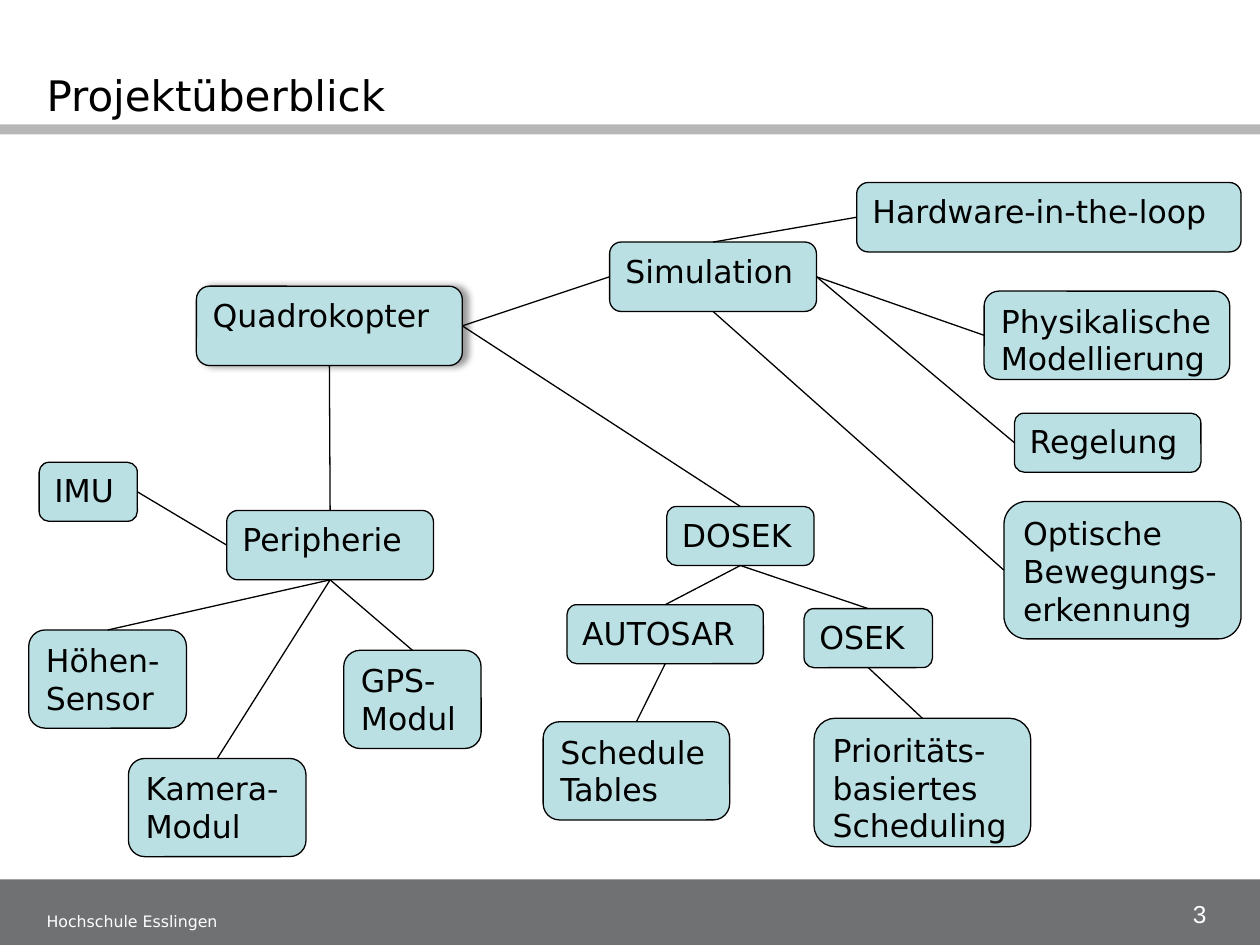
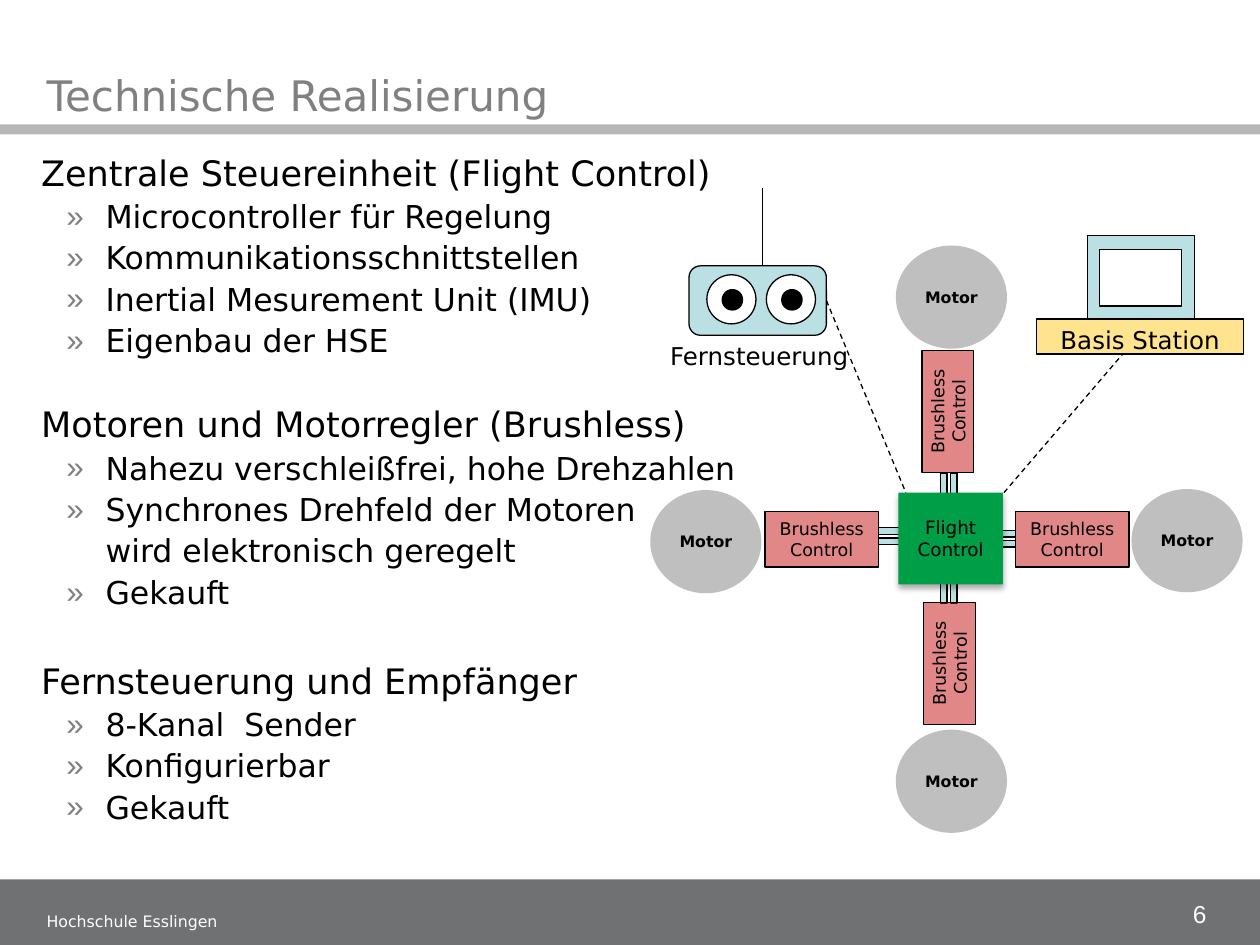
from lxml.etree import SubElement
from pptx import Presentation
from pptx.dml.color import RGBColor
from pptx.enum.dml import MSO_LINE
from pptx.enum.shapes import MSO_CONNECTOR, MSO_SHAPE
from pptx.enum.text import MSO_ANCHOR, PP_ALIGN
from pptx.oxml.ns import qn
from pptx.shapes.autoshape import Shape
from pptx.util import Cm, Pt

HUE = {"black": "000000", "white": "FFFFFF", "slate": "707172", "gray": "808080",
       "silver": "BFBFBF", "aqua": "BBE0E3", "green": "009E47", "red": "C00000",
       "sand": "FFE48F"}
FONT = "DejaVu Sans"
RECT, ROUND = MSO_SHAPE.RECTANGLE, MSO_SHAPE.ROUNDED_RECTANGLE
OVAL, EQUAL = MSO_SHAPE.OVAL, MSO_SHAPE.MATH_EQUAL
TOP, LEFT, BOTTOM, RIGHT = range(4)


def box(page, kind, area, fill=None, text="", size=18, ink="black", font=FONT, bold=False,
        mid=False, anchor=MSO_ANCHOR.TOP, wrap=True, edge=True, alpha=100, turn=0, glow=None):
    """Add a shape, or a text box if kind is None; area is left, top, width, height in cm."""
    area = [Cm(n) for n in area]
    if kind is None:
        item = page.shapes.add_textbox(*area)
    else:
        item = page.shapes.add_shape(kind, *area)
        item.shadow.inherit = False
        item.rotation = turn
        item.fill.solid()
        item.fill.fore_color.rgb = RGBColor.from_string(HUE[fill])
        if alpha < 100:
            tint = item.fill._xPr.find(qn("a:solidFill"))[0]
            SubElement(tint, qn("a:alpha"), val=str(alpha * 1000))
        if edge:
            item.line.color.rgb = RGBColor.from_string(HUE["black"])
            item.line.width = Pt(0.75)
        else:
            item.line.fill.background()
    if glow:
        blur, dist, angle, dark = glow
        drop = SubElement(item._element.spPr.find(qn("a:effectLst")), qn("a:outerShdw"),
                          blurRad=str(Pt(blur)), dist=str(Pt(dist)),
                          dir=str(angle * 60000), rotWithShape="0")
        shade = SubElement(drop, qn("a:srgbClr"), val=HUE["black"])
        SubElement(shade, qn("a:alpha"), val=str(dark * 1000))
    if text:
        frame = item.text_frame
        frame.word_wrap = wrap
        frame.vertical_anchor = anchor
        frame.text = text
        para = frame.paragraphs[0]
        para.alignment = PP_ALIGN.CENTER if mid else PP_ALIGN.LEFT
        style = para.runs[0].font
        style.name, style.size, style.bold = font, Pt(size), bold
        style.color.rgb = RGBColor.from_string(HUE[ink])
    return item


def line(page, start, end, dash=False):
    """Join two ends, each either a point in cm or a shape with a side."""
    spots = [(0, 0) if isinstance(spot[0], Shape) else spot for spot in (start, end)]
    wire = page.shapes.add_connector(MSO_CONNECTOR.STRAIGHT,
                                     *[Cm(n) for spot in spots for n in spot])
    if isinstance(start[0], Shape):
        wire.begin_connect(*start)
    if isinstance(end[0], Shape):
        wire.end_connect(*end)
    wire.line.color.rgb = RGBColor.from_string(HUE["black"])
    wire.line.width = Pt(0.75)
    if dash:
        wire.line.dash_style = MSO_LINE.DASH
    SubElement(wire._element.spPr, qn("a:effectLst"))


deck = Presentation()
deck.slide_width, deck.slide_height = Cm(25.4), Cm(19.05)

# Shared frame: bands, number, footer, title
pages = []
for title, ink, num in [("Projektüberblick", "black", "3"),
                        ("Technische Realisierung", "gray", "6")]:
    page = deck.slides.add_slide(deck.slide_layouts[6])
    box(page, RECT, (0, 17.73, 25.4, 1.32), "slate", edge=False)
    box(page, RECT, (0, 2.51, 25.4, 0.2), "slate", edge=False, alpha=50)
    box(page, None, (23.7, 17.93, 0.97, 0.91), text=num, size=14, ink="white", font="Arial",
        mid=True, anchor=MSO_ANCHOR.BOTTOM, wrap=False)
    box(page, None, (0.69, 18.25, 22.6, 0.6), text="Hochschule Esslingen", size=9, ink="white")
    box(page, None, (0.69, 0.13, 18, 2.41), text=title, size=24, ink=ink,
        anchor=MSO_ANCHOR.BOTTOM)
    pages.append(page)
tree, tech = pages

# Overview: topics
topics = {
    "Quadrokopter": (3.96, 5.77, 5.36, 1.6),
    "DOSEK": (13.44, 10.21, 2.97, 1.19),
    "AUTOSAR": (11.43, 12.19, 3.96, 1.19),
    "OSEK": (16.21, 12.27, 2.59, 1.19),
    "Schedule Tables": (10.95, 14.55, 3.76, 1.98),
    "Prioritäts-basiertes Scheduling": (16.41, 14.48, 4.37, 2.59),
    "Kamera-Modul": (2.59, 15.29, 3.58, 1.98),
    "Peripherie": (4.57, 10.29, 4.17, 1.4),
    "IMU": (0.79, 9.32, 1.98, 1.19),
    "Höhen-Sensor": (0.58, 12.7, 3.18, 1.98),
    "GPS-Modul": (6.93, 13.11, 2.77, 1.98),
    "Simulation": (12.29, 4.88, 4.17, 1.4),
    "Hardware-in-the-loop": (17.27, 3.68, 7.75, 1.4),
    "Physikalische Modellierung": (19.84, 5.87, 4.95, 1.78),
    "Regelung": (20.45, 8.33, 3.76, 1.19),
    "Optische Bewegungs-erkennung": (20.24, 10.11, 4.78, 2.77),
}
nodes = {}
for name, area in topics.items():
    glow = (4, 3, 0, 40) if name == "Quadrokopter" else None
    nodes[name] = box(tree, ROUND, area, "aqua", name, glow=glow)

# Overview: links
for head, side, tail, port in [
    ("Quadrokopter", RIGHT, "Simulation", LEFT),
    ("Quadrokopter", RIGHT, "DOSEK", TOP),
    ("Quadrokopter", BOTTOM, "Peripherie", TOP),
    ("DOSEK", BOTTOM, "AUTOSAR", TOP),
    ("DOSEK", BOTTOM, "OSEK", TOP),
    ("AUTOSAR", BOTTOM, "Schedule Tables", TOP),
    ("OSEK", BOTTOM, "Prioritäts-basiertes Scheduling", TOP),
    ("Peripherie", LEFT, "IMU", RIGHT),
    ("Peripherie", BOTTOM, "Höhen-Sensor", TOP),
    ("Peripherie", BOTTOM, "Kamera-Modul", TOP),
    ("Peripherie", BOTTOM, "GPS-Modul", TOP),
    ("Simulation", TOP, "Hardware-in-the-loop", LEFT),
    ("Simulation", RIGHT, "Physikalische Modellierung", LEFT),
    ("Simulation", RIGHT, "Regelung", LEFT),
    ("Simulation", BOTTOM, "Optische Bewegungs-erkennung", LEFT),
]:
    line(tree, (nodes[head], side), (nodes[tail], port))

# Realisation: outline, each part with the gap above its heading
parts = [
    (0, "Zentrale Steuereinheit (Flight Control)",
     ["Microcontroller für Regelung", "Kommunikationsschnittstellen",
      "Inertial Mesurement Unit (IMU)", "Eigenbau der HSE"]),
    (27.7, "Motoren und Motorregler (Brushless)",
     ["Nahezu verschleißfrei, hohe Drehzahlen", "Synchrones Drehfeld der Motoren",
      "wird elektronisch geregelt", "Gekauft"]),
    (30.3, "Fernsteuerung und Empfänger",
     ["8-Kanal  Sender", "Konfigurierbar", "Gekauft"]),
]
frame = tech.shapes.add_textbox(Cm(0.58), Cm(3.02), Cm(23.42), Cm(14.6)).text_frame
frame.word_wrap = True
for gap, head, items in parts:
    for text in [head] + items:
        top = text == head
        para = frame.paragraphs[0] if gap == 0 and top else frame.add_paragraph()
        para.text = text
        para.line_spacing = 0.9
        para.space_before = Pt(gap if top else 4.2)
        style = para.runs[0].font
        style.name, style.size = FONT, Pt(20 if top else 18)
        style.color.rgb = RGBColor.from_string(HUE["black"])
        if top:
            continue
        para.level = 1
        props = para._p.get_or_add_pPr()
        more = text.startswith("wird")
        props.set("marL", str(Cm(1.3)))
        props.set("indent", str(0 if more else Cm(-0.79)))
        if more:
            SubElement(props, qn("a:buNone"))
        else:
            SubElement(SubElement(props, qn("a:buClr")), qn("a:srgbClr"), val=HUE["gray"])
            SubElement(props, qn("a:buFont"), typeface="Arial")
            SubElement(props, qn("a:buChar"), char="»")

# Realisation: motors
for x, y in [(13.11, 9.88), (18.06, 14.71), (22.81, 9.86), (18.06, 4.95)]:
    disc = box(tech, OVAL, (x, y, 2.24, 2.08), "silver", "Motor", 9, bold=True, mid=True,
               anchor=MSO_ANCHOR.MIDDLE, edge=False)
    disc.text_frame.margin_left = disc.text_frame.margin_right = 0

# Realisation: plugs, flight control and motor controls
for x, y, turn in [(17.58, 10.52, 180), (18.64, 11.51, 270), (19.63, 10.57, 0),
                   (18.64, 9.6, 270)]:
    box(tech, EQUAL, (x, y, 0.97, 0.58), "aqua", turn=turn)
box(tech, RECT, (18.11, 9.93, 2.11, 1.85), "green", "Flight Control", 10.5, mid=True,
    anchor=MSO_ANCHOR.MIDDLE, edge=False, glow=(3.5, 2.2, 90, 32))
for x, y, wide, high, turn in [(17.88, 7.77, 2.46, 1.04, 270), (20.47, 10.31, 2.29, 1.12, 0),
                               (17.91, 12.85, 2.46, 1.04, 270), (15.42, 10.31, 2.29, 1.12, 0)]:
    box(tech, RECT, (x, y, wide, high), "red", "Brushless Control", 10, mid=True,
        anchor=MSO_ANCHOR.MIDDLE, alpha=47, turn=turn)

# Realisation: base station
box(tech, RECT, (21.92, 4.75, 2.16, 1.68), "aqua")
box(tech, RECT, (22.17, 5.03, 1.65, 1.14), "white")
box(tech, RECT, (20.9, 6.43, 4.17, 0.71), "sand", "Basis Station", 14, mid=True)
line(tech, (20.24, 9.93), (22.63, 7.14), dash=True)

# Realisation: remote control
pad = box(tech, ROUND, (13.89, 5.36, 2.77, 1.4), "aqua")
for x in (14.25, 15.45):
    box(tech, OVAL, (x, 5.54, 0.99, 0.99), "white")
    box(tech, OVAL, (x + 0.31, 5.84, 0.41, 0.41), "black")
line(tech, (15.37, 5.36), (15.37, 3.78))
box(tech, None, (13.26, 6.76, 4.14, 0.86), text="Fernsteuerung", size=14, wrap=False)
line(tech, (pad, RIGHT), (18.26, 9.93), dash=True)

deck.save("out.pptx")
